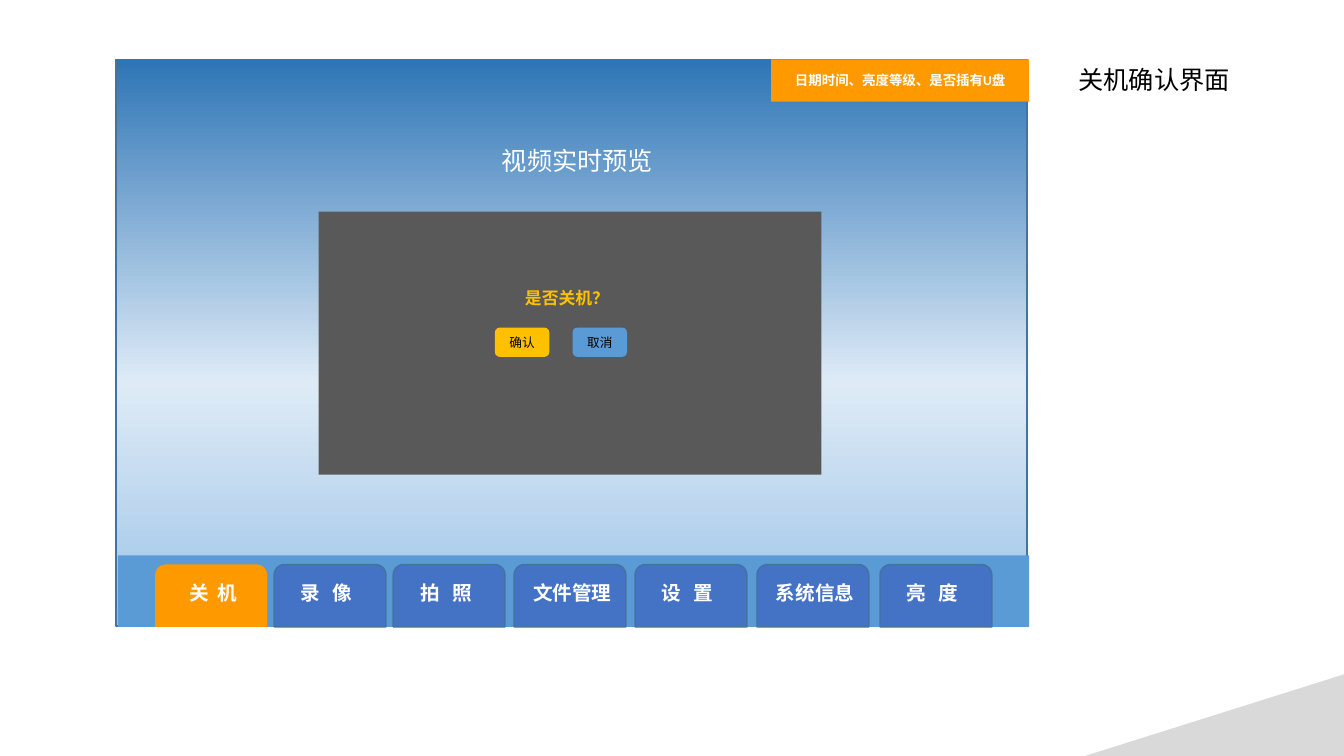
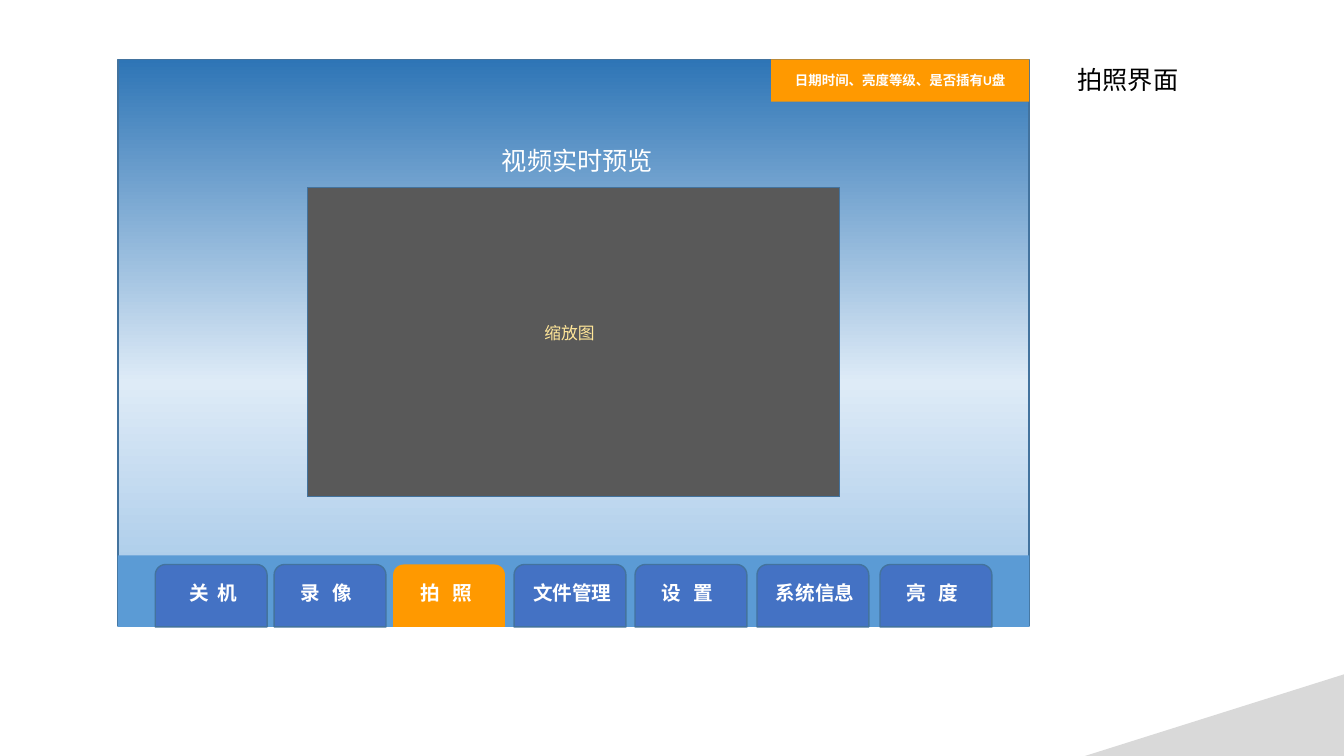
from copy import deepcopy

from pptx import Presentation
from pptx import util as u
from pptx.dml.color import RGBColor
from pptx.enum import shapes, text
from pptx.oxml import ns

COLORS = {
    "white": "FFFFFF", "black": "000000", "edge": "43739E", "bar": "5B9BD5",
    "tab": "4472C4", "active": "FF9900", "screen": "595959", "gold": "FFC000",
    "cream": "FFE699", "corner": "D9D9D9", "sky_top": "2E75B6",
    "sky_mid": "DEEBF7", "sky_low": "9DC3E6",
}
SKY = [(0, "sky_top"), (0.57, "sky_mid"), (1, "sky_low")]
HEADING = {"size": u.Pt(18)}
TAB_TEXT = {"size": u.Pt(14), "bold": True}
STATUS = {"size": u.Pt(9.6), "bold": True}
QUESTION = {"size": u.Pt(12), "bold": True}
CAPTION = {"size": u.Pt(12)}
BUTTON = {"size": u.Pt(9)}
TABS = [
    ("关 机", 110.9, 17.3, 45.4, 1.6),
    ("录 像", 195.8, 11.5, 45.4, 3.15),
    ("拍 照", 280.8, 12.2, 45.4, 3.15),
    ("文件管理", 367.2, 6.5, 62.6, 0),
    ("设 置", 453.6, 11.5, 45.4, 3.15),
    ("系统信息", 540.7, 6.5, 62.6, 0),
    ("亮 度", 628.6, 11.5, 45.4, 3.15),
]
SHAPE = shapes.MSO_SHAPE
ALIGN = text.PP_ALIGN
ANCHOR = text.MSO_ANCHOR
FIT = text.MSO_AUTO_SIZE


def rgb(name):
    """Return the named colour."""
    return RGBColor.from_string(COLORS[name])


class Deck:
    """Holds the presentation, its style and the current slide."""

    font = "Calibri"

    def __init__(self):
        """Start a widescreen presentation."""
        self.prs = Presentation()
        self.prs.slide_width, self.prs.slide_height = u.Pt(960), u.Pt(540)

    def add_words(self, sp, words, color, fmt, align=ALIGN.LEFT, spacing=0):
        """Put one formatted run into a shape."""
        p = sp.text_frame.paragraphs[0]
        p.alignment = align
        r = p.add_run()
        r.text = words
        r.font.color.rgb = rgb(color)
        for key, value in {"name": self.font, **fmt}.items():
            setattr(r.font, key, value)
        if spacing:
            sp.element.find(".//" + ns.qn("a:rPr")).set("spc", str(round(spacing * 100)))

    def slide(self, title, left, width):
        """Add a slide with its title and corner."""
        self.current = self.prs.slides.add_slide(self.prs.slide_layouts[5])
        self.shapes = self.current.shapes
        sp = self.shapes.title
        box = {"left": left, "top": 42.5, "width": width, "height": 28.8}
        for key, value in box.items():
            setattr(sp, key, u.Pt(value))
        frame = {"vertical_anchor": ANCHOR.TOP, "word_wrap": True,
                 "auto_size": FIT.SHAPE_TO_FIT_TEXT}
        for key, value in frame.items():
            setattr(sp.text_frame, key, value)
        self.add_words(sp, title, "black", HEADING)
        corner = self.shape((775, 481.7, 185, 58.3), "corner", kind=SHAPE.RIGHT_TRIANGLE)
        corner.element.spPr.get_or_add_xfrm().set("flipH", "1")

    def shape(self, box, fill, line=None, kind=SHAPE.RECTANGLE):
        """Add a filled preset shape."""
        sp = self.shapes.add_shape(kind, *map(u.Pt, box))
        sp.shadow.inherit = False
        if fill:
            sp.fill.solid()
            sp.fill.fore_color.rgb = rgb(fill)
        if line:
            sp.line.color.rgb = rgb(line)
            sp.line.width = u.Pt(1)
        else:
            sp.line.fill.background()
        return sp

    def label(self, box, words, color, fmt, wrap=True, fit=FIT.SHAPE_TO_FIT_TEXT, **style):
        """Add a text box."""
        sp = self.shapes.add_textbox(*map(u.Pt, box))
        sp.text_frame.word_wrap = wrap
        sp.text_frame.auto_size = fit
        self.add_words(sp, words, color, fmt, **style)

    def panel(self, box, words, fill, color, fmt, kind=SHAPE.RECTANGLE):
        """Add a shape with centred text."""
        sp = self.shape(box, fill, kind=kind)
        sp.text_frame.vertical_anchor = ANCHOR.MIDDLE
        self.add_words(sp, words, color, fmt, ALIGN.CENTER)

    def sky(self, left):
        """Add the gradient background of the device screen."""
        sp = self.shape((left, 42.5, 650.9, 404.6), None, "edge")
        sp.fill.gradient()
        sp.fill.gradient_angle = 270
        stops = sp.element.find(".//" + ns.qn("a:gsLst"))
        stops.append(deepcopy(stops[0]))
        for stop, (position, color) in zip(sp.fill.gradient_stops, SKY):
            stop.position = position
            stop.color.rgb = rgb(color)

    def tabs(self, active):
        """Add the grouped navigation tabs."""
        self.shapes = self.current.shapes.add_group_shape().shapes
        for words, left, inset, width, spacing in TABS:
            fill, line = ("active", None) if words == active else ("tab", "edge")
            self.shape((left, 403.2, 79.9, 44.6), fill, line, SHAPE.ROUND_2_SAME_RECTANGLE)
            self.label((left + inset, 411.1, width, 27.4), words, "white", TAB_TEXT,
                       wrap=False, fit=FIT.NONE, spacing=spacing)
        self.shapes = self.current.shapes

    def device(self, left, preview, line, active):
        """Add the device screen with preview, tabs and status."""
        self.sky(left)
        self.shape((84.2, 396.7, 650.9, 51.1), "bar")
        self.shape(preview, "screen", line)
        self.label((351.4, 100.1, 130.3, 28.8), "视频实时预览", "white", HEADING)
        self.tabs(active)
        self.panel((550.8, 42.5, 184.3, 30.2), "日期时间、亮度等级、是否插有U盘",
                   "active", "white", STATUS)


deck = Deck()

deck.slide("关机确认界面", 763.2, 148.3)
deck.device(82.8, (227.5, 151.2, 359.3, 187.9), None, "关 机")
deck.label((367.9, 202.3, 79.9, 21.6), "是否关机？", "gold", QUESTION)
for words, left, fill in [("确认", 353.5, "gold"), ("取消", 409, "bar")]:
    deck.panel((left, 234, 38.9, 20.9), words, fill, "black", BUTTON, SHAPE.ROUNDED_RECTANGLE)

deck.slide("拍照界面", 762.5, 91.4)
deck.device(84.2, (219.6, 133.9, 380.2, 221), "edge", "拍 照")
deck.label((381.6, 226.8, 50.4, 21.6), "缩放图", "cream", CAPTION, wrap=False,
           align=ALIGN.CENTER)

deck.prs.save("out.pptx")
